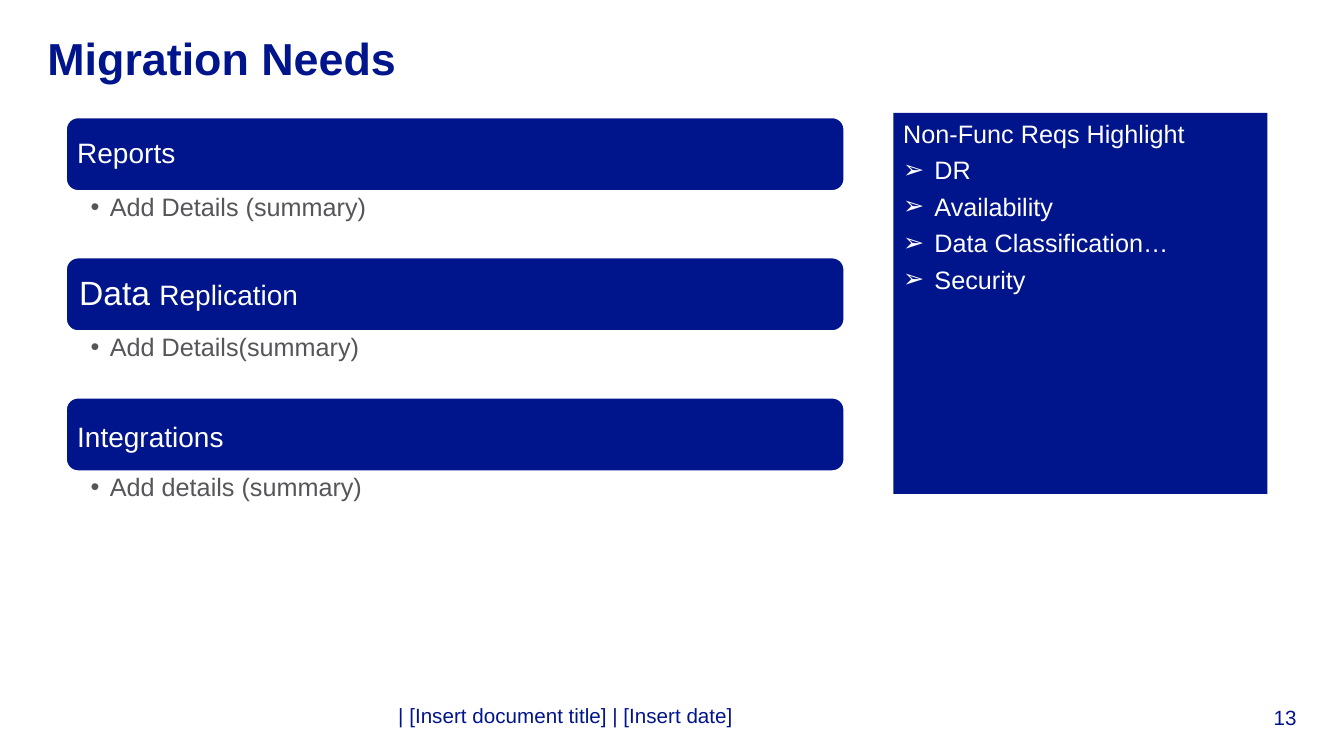
from lxml.etree import SubElement
from pptx import Presentation
from pptx.dml.color import RGBColor
from pptx.enum.shapes import MSO_SHAPE
from pptx.enum.text import MSO_ANCHOR, PP_ALIGN
from pptx.oxml.ns import qn
from pptx.util import Emu, Pt

PX = 9144
COLORS = {"navy": "00148C", "white": "FFFFFF", "grey": "55555A"}
SECTIONS = [
    ([("Reports", 20)], 8, "Add Details (summary)"),
    ([("Data ", 24), ("Replication", 20), (" ", 24)], 10, "Add Details(summary)"),
    ([("Integrations", 20), (" ", 28)], 8, "Add details (summary)"),
]
REQUIREMENTS = ["DR", "Availability", "Data Classification…", "Security"]


def px(n):
    return Emu(n * PX)


def color(name):
    return RGBColor.from_string(COLORS[name])


def write(p, text, size=18, fill="navy", bold=False, align=PP_ALIGN.LEFT,
          spacing=None, after=0, bullet=None, indent=0):
    if bullet:
        pPr = p._p.get_or_add_pPr()
        pPr.set("marL", str(px(indent)))
        pPr.set("indent", str(-px(indent)))
        SubElement(pPr, qn("a:buFont")).set("typeface", "Arial")
        SubElement(pPr, qn("a:buChar")).set("char", bullet)
    p.alignment = align
    p.space_before, p.space_after = Pt(0), Pt(after)
    if spacing:
        p.line_spacing = spacing
    for part, part_size in [(text, size)] if isinstance(text, str) else text:
        r = p.add_run()
        r.text = part
        r.font.name, r.font.size, r.font.bold = "Arial", Pt(part_size), bold
        r.font.color.rgb = color(fill)


class Deck:
    def __init__(self):
        self.prs = Presentation()
        self.prs.slide_width, self.prs.slide_height = px(1333), px(750)
        self.s = self.prs.slides.add_slide(self.prs.slide_layouts[5])

    def frame(self, sp, insets=(0, 0, 0, 0), anchor=MSO_ANCHOR.TOP):
        tf = sp.text_frame
        tf.word_wrap = True
        tf.vertical_anchor = anchor
        tf.margin_left, tf.margin_top, tf.margin_right, tf.margin_bottom = map(px, insets)
        return tf

    def title(self, text, box):
        sp = self.s.shapes.title
        sp.left, sp.top, sp.width, sp.height = map(px, box)
        tf = self.frame(sp, anchor=MSO_ANCHOR.MIDDLE)
        write(tf.paragraphs[0], text, size=32, bold=True)

    def text(self, text, box, insets=(0, 0, 0, 0), anchor=MSO_ANCHOR.TOP, **style):
        sp = self.s.shapes.add_textbox(*map(px, box))
        write(self.frame(sp, insets, anchor).paragraphs[0], text, **style)

    def panel(self, kind, box, insets, anchor=MSO_ANCHOR.TOP, outline=None):
        sp = self.s.shapes.add_shape(kind, *map(px, box))
        sp.shadow.inherit = False
        sp.fill.solid()
        sp.fill.fore_color.rgb = color("navy")
        if outline:
            sp.line.color.rgb = color(outline)
            sp.line.width = Pt(2)
        else:
            sp.line.fill.background()
        return self.frame(sp, insets, anchor)

    def section(self, top, heading, inset, detail):
        tf = self.panel(MSO_SHAPE.ROUNDED_RECTANGLE, (65, top, 773, 74),
                        (inset,) * 4, MSO_ANCHOR.MIDDLE, "white")
        write(tf.paragraphs[0], heading, fill="white", spacing=0.9)
        self.text(detail, (65, top + 74, 773, 65), (25, 3, 14, 3),
                  fill="grey", spacing=0.9, bullet="•", indent=19)

    def checklist(self, heading, items, box):
        tf = self.panel(MSO_SHAPE.RECTANGLE, box, (10, 5, 10, 5))
        write(tf.paragraphs[0], heading, fill="white", after=4.5)
        for item in items:
            write(tf.add_paragraph(), item, fill="white", after=4.5, bullet="➢", indent=31)


def main():
    deck = Deck()
    deck.title("Migration Needs", (47, 26, 1239, 63))
    for i, section in enumerate(SECTIONS):
        deck.section(116 + 139 * i, *section)
    deck.checklist("Non-Func Reqs Highlight", REQUIREMENTS, (886, 112, 371, 378))
    deck.text("| [Insert document title] | [Insert date]", (395, 697, 834, 25), size=14.7)
    deck.text("13", (1208, 699, 78, 25), anchor=MSO_ANCHOR.BOTTOM,
              size=14.7, align=PP_ALIGN.RIGHT)
    deck.prs.save("out.pptx")


if __name__ == "__main__":
    main()
